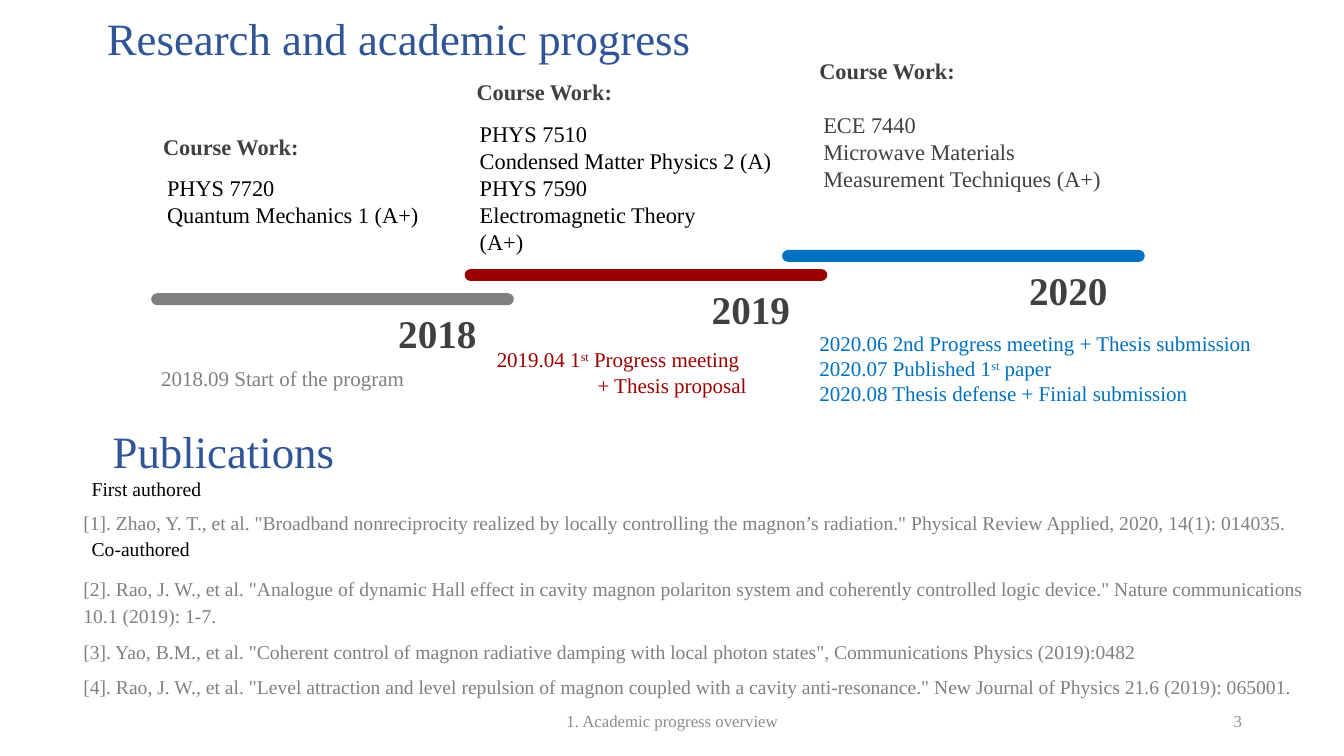
import dataclasses

import lxml.etree
import pptx
import pptx.dml.color
import pptx.enum.shapes
import pptx.enum.text
import pptx.oxml.ns
import pptx.util

Cm = pptx.util.Cm
ALIGN = pptx.enum.text.PP_ALIGN
ANCHOR = pptx.enum.text.MSO_ANCHOR
ORDINAL = "st"
BREAK = "\v"


@dataclasses.dataclass(frozen=True)
class Theme:
    font: str = "Times New Roman"
    heading: str = "2F5597"
    black: str = "000000"
    dark: str = "404040"
    gray: str = "808080"
    red: str = "9B0000"
    blue: str = "0070C0"
    footer: str = "8C8C8C"
    heading_size: int = 32
    year_size: int = 28
    course_size: int = 16
    milestone_size: int = 15
    publication_size: int = 14
    footer_size: int = 12


THEME = Theme()

YEARS = [
    dict(year="2018", color=THEME.gray, bar=(3.81, 7.39),
         course_label=(3.81, 3.23), courses_at=(3.96, 4.27, 7.11, 1.63),
         courses_color=THEME.black,
         courses=[["PHYS 7720"], ["Quantum Mechanics 1 (A+)"]],
         milestones_at=(3.81, 9.09, 10.11, 0.89),
         milestones=[["2018.09 Start of the program"]], indents={}),
    dict(year="2019", color=THEME.red, bar=(11.71, 6.78),
         course_label=(11.71, 1.85), courses_at=(11.84, 2.9, 7.92, 3),
         courses_color=THEME.black,
         courses=[["PHYS 7510"], ["Condensed Matter Physics 2 (A)"], ["PHYS 7590"],
                  ["Electromagnetic Theory", BREAK, "(A+)"]],
         milestones_at=(12.27, 8.61, 10.11, 1.55),
         milestones=[["2019.04 1", ORDINAL, " Progress meeting"], ["+ Thesis proposal"]],
         indents={1: 2.54}),
    dict(year="2020", color=THEME.blue, bar=(19.71, 6.3),
         course_label=(20.35, 1.3), courses_at=(20.5, 2.67, 8.36, 2.31),
         courses_color=THEME.dark,
         courses=[["ECE 7440"], ["Microwave Materials Measurement Techniques (A+)"]],
         milestones_at=(20.4, 8.2, 13, 2.18),
         milestones=[["2020.06 2nd Progress meeting + Thesis submission"],
                     ["2020.07 Published 1", ORDINAL, " paper"],
                     ["2020.08 Thesis defense + Finial submission"]], indents={}),
]

FIRST_AUTHORED = [
    ['[1]. Zhao, Y. T., et al. "Broadband nonreciprocity realized by locally controlling '
     'the magnon’s radiation." Physical Review Applied, 2020, 14(1): 014035.'],
]
CO_AUTHORED = [
    ['[2]. Rao, J. W., et al. "Analogue of dynamic Hall effect in cavity magnon polariton '
     'system and coherently controlled logic device." Nature communications 10.1 (2019): 1-7.'],
    ['[3]. Yao, B.M., et al. "Coherent control of magnon radiative damping with local '
     'photon states", Communications Physics (2019):0482'],
    ['[4]. Rao, J. W., et al. "Level attraction and level repulsion of magnon coupled with '
     'a cavity anti-resonance." New Journal of Physics 21.6 (2019): 065001.'],
]


def rgb(color):
    return pptx.dml.color.RGBColor.from_string(color)


def add_run(paragraph, text, size, color, bold):
    if text == BREAK:
        line_break = paragraph._p.add_br()
        lxml.etree.SubElement(line_break, pptx.oxml.ns.qn("a:rPr"), sz=str(size * 100))
        return
    run = paragraph.add_run()
    run.text = text
    run.font.name = THEME.font
    run.font.size = pptx.util.Pt(size)
    run.font.bold = bold
    run.font.color.rgb = rgb(color)
    if text == ORDINAL:
        run._r.get_or_add_rPr().set("baseline", "30000")


def write(frame, lines, size, color, bold=False, align=ALIGN.LEFT, anchor=ANCHOR.TOP,
          indents=None, line_spacing=None, gap=0):
    frame.word_wrap = True
    frame.auto_size = pptx.enum.text.MSO_AUTO_SIZE.NONE
    frame.vertical_anchor = anchor
    for index, runs in enumerate(lines):
        paragraph = frame.add_paragraph() if index else frame.paragraphs[0]
        paragraph.alignment = align
        if indents and index in indents:
            paragraph.level = 1
            paragraph._p.get_or_add_pPr().set("marL", str(Cm(indents[index])))
        if line_spacing:
            paragraph.line_spacing = line_spacing
        if index and gap:
            paragraph.space_before = pptx.util.Pt(gap)
        for text in runs:
            add_run(paragraph, text, size, color, bold)


def add_text(slide, place, lines, size, color, side_inset=0.25, inset=0.13, **style):
    frame = slide.shapes.add_textbox(*map(Cm, place)).text_frame
    frame.margin_left = frame.margin_right = Cm(side_inset)
    frame.margin_top = frame.margin_bottom = Cm(inset)
    write(frame, lines, size, color, **style)


def add_title(slide, text):
    title = slide.shapes.title
    title.left, title.top, title.width, title.height = map(Cm, (2.44, 0.13, 15.37, 1.63))
    write(title.text_frame, [[text]], THEME.heading_size, THEME.heading)


def add_bar(slide, left, top, color):
    bar = slide.shapes.add_shape(pptx.enum.shapes.MSO_SHAPE.ROUNDED_RECTANGLE,
                                 Cm(left), Cm(top), Cm(9.14), Cm(0.3))
    bar.adjustments[0] = 0.5
    bar.shadow.inherit = False
    bar.fill.solid()
    bar.fill.fore_color.rgb = rgb(color)
    bar.line.fill.background()


def add_year(slide, entry):
    left, top = entry["bar"]
    add_bar(slide, left, top, entry["color"])
    add_text(slide, (left + 4.47, top + 0.4, 3.73, 1.19), [[entry["year"]]],
             THEME.year_size, THEME.dark, side_inset=0, inset=0, bold=True, align=ALIGN.RIGHT)
    add_text(slide, (*entry["course_label"], 6.71, 0.94), [["Course Work:"]],
             THEME.course_size, THEME.dark, side_inset=0.3, bold=True)
    add_text(slide, entry["courses_at"], entry["courses"],
             THEME.course_size, entry["courses_color"])
    add_text(slide, entry["milestones_at"], entry["milestones"],
             THEME.milestone_size, entry["color"], indents=entry["indents"])


def add_publications(slide, label, label_top, references, top, height):
    add_text(slide, (1.85, top, 32, height), references, THEME.publication_size,
             THEME.gray, line_spacing=1.15, gap=6)
    add_text(slide, (2.06, label_top, 3.43, 0.86), [[label]],
             THEME.publication_size, THEME.black)


def add_footer(slide, left, width, text, align):
    add_text(slide, (left, 17.65, width, 1.02), [[text]], THEME.footer_size,
             THEME.footer, align=align, anchor=ANCHOR.MIDDLE)


def main():
    deck = pptx.Presentation()
    deck.slide_width, deck.slide_height = Cm(33.87), Cm(19.05)
    slide = deck.slides.add_slide(deck.slide_layouts.get_by_name("Title Only"))
    add_title(slide, "Research and academic progress")
    for entry in YEARS:
        add_year(slide, entry)
    add_text(slide, (2.59, 10.54, 6.15, 1.63), [["Publications"]],
             THEME.heading_size, THEME.heading)
    add_publications(slide, "First authored", 11.89, FIRST_AUTHORED, 12.65, 0.9)
    add_publications(slide, "Co-authored", 13.41, CO_AUTHORED, 14.33, 3.4)
    add_footer(slide, 11.23, 11.43, "1. Academic progress overview", ALIGN.CENTER)
    add_footer(slide, 23.93, 7.62, "3", ALIGN.RIGHT)
    deck.save("out.pptx")


if __name__ == "__main__":
    main()
